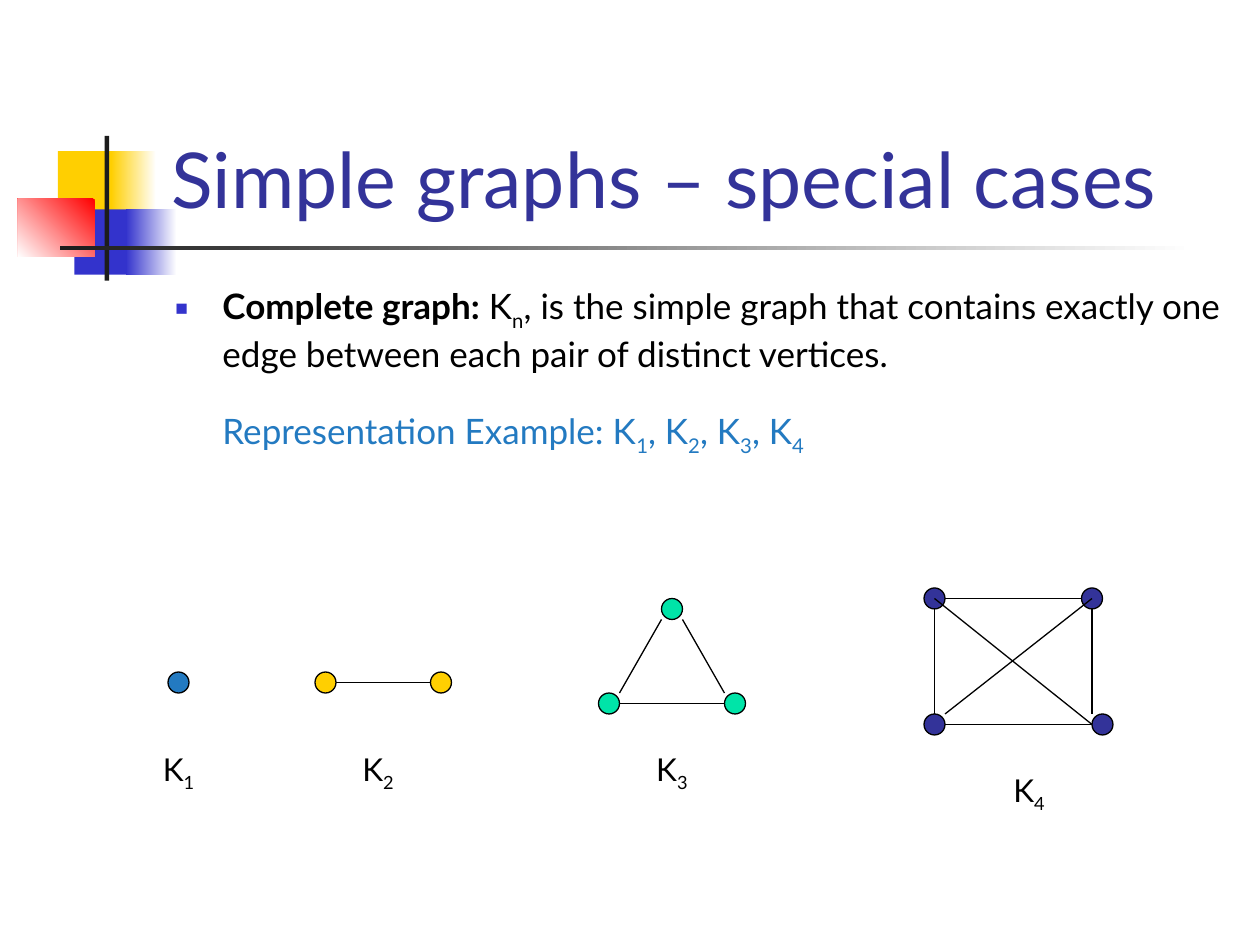
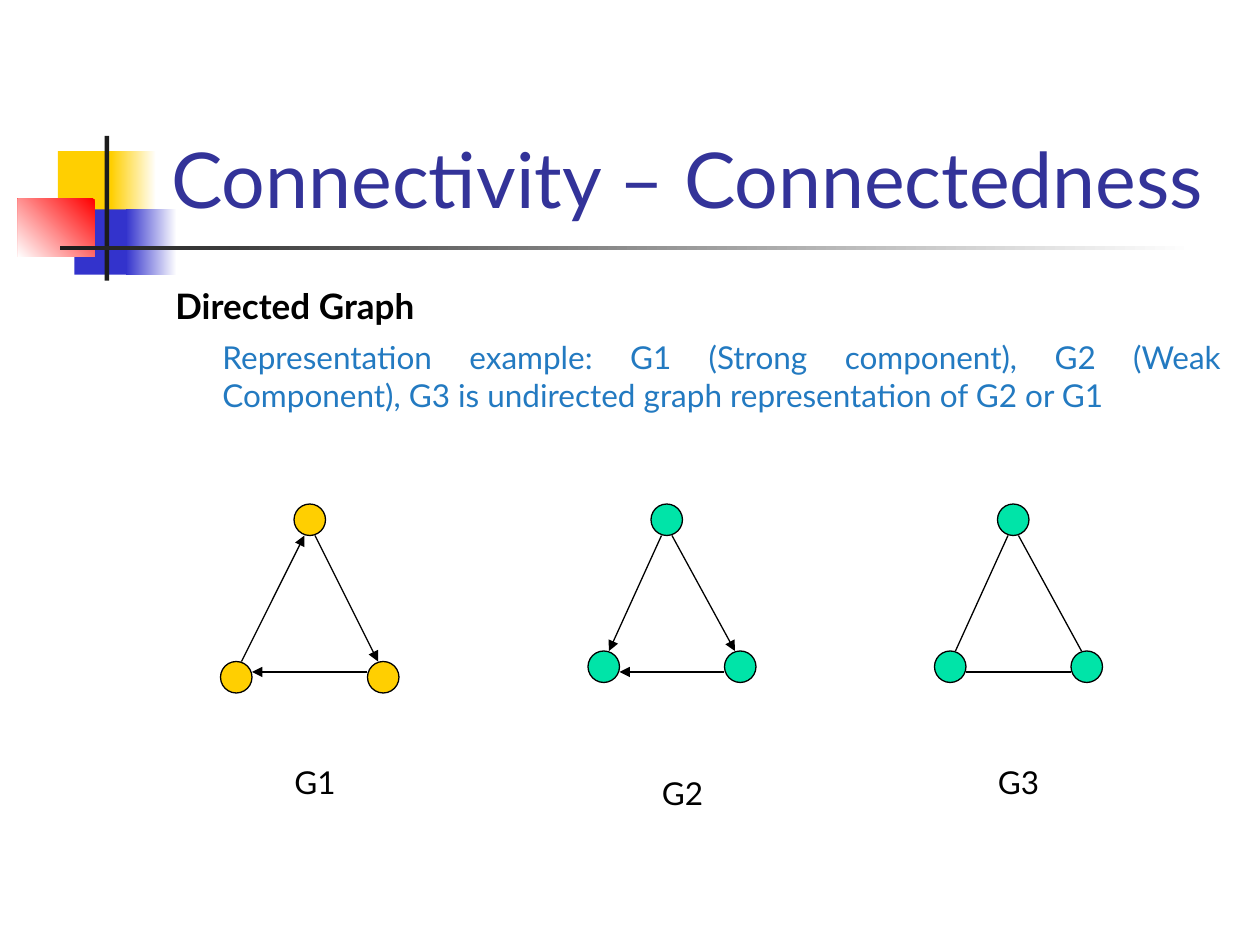
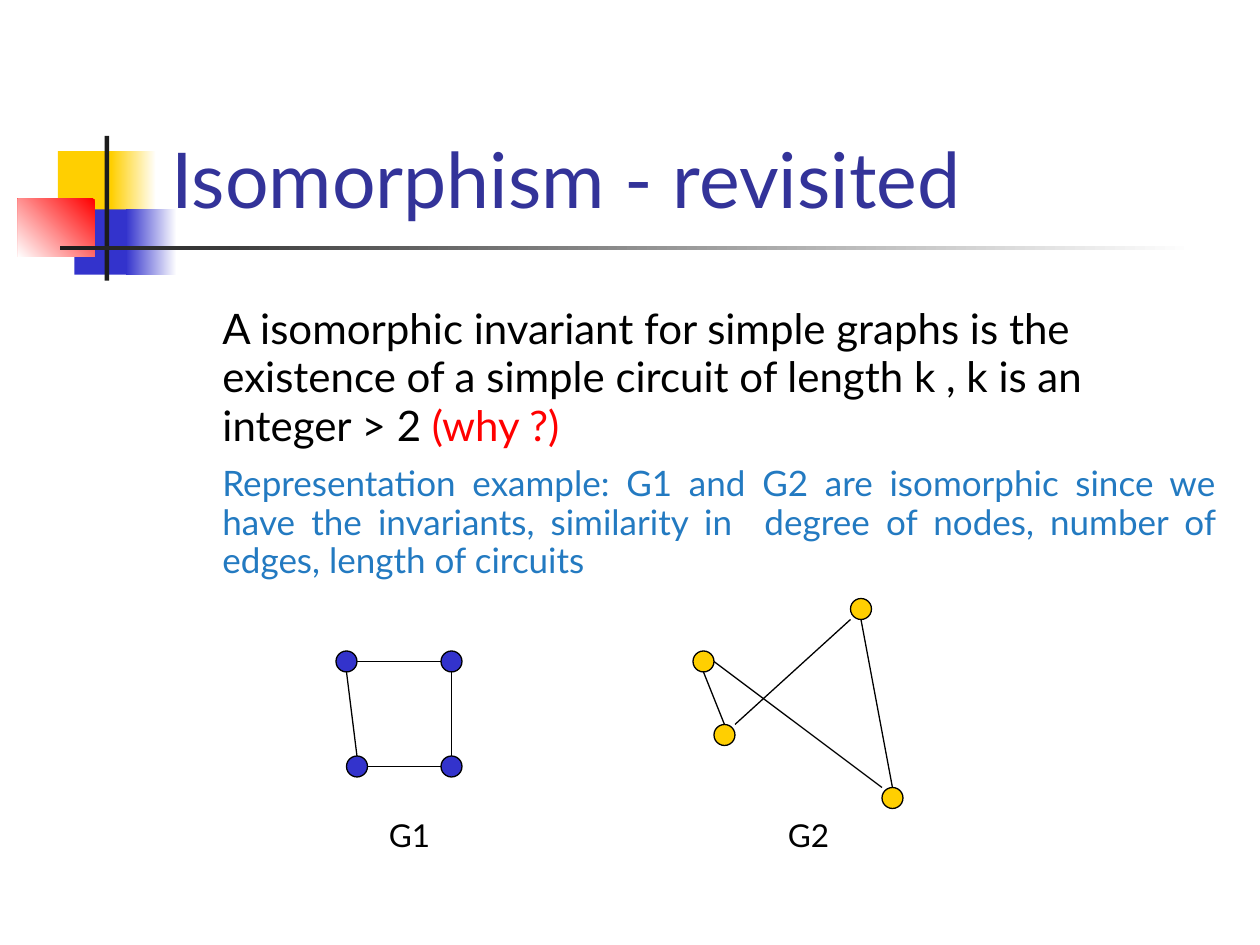
from lxml import etree
from pptx import Presentation
from pptx.dml.color import RGBColor
from pptx.enum.shapes import MSO_CONNECTOR, MSO_SHAPE
from pptx.enum.text import MSO_ANCHOR, MSO_AUTO_SIZE, PP_ALIGN
from pptx.oxml.ns import qn
from pptx.util import Cm, Pt

RECT, OVAL = MSO_SHAPE.RECTANGLE, MSO_SHAPE.OVAL
LINE = MSO_CONNECTOR.STRAIGHT
LEFT, MID, JUST = PP_ALIGN.LEFT, PP_ALIGN.CENTER, PP_ALIGN.JUSTIFY
TOP, CENTER, BOTTOM = MSO_ANCHOR.TOP, MSO_ANCHOR.MIDDLE, MSO_ANCHOR.BOTTOM
FIXED = MSO_AUTO_SIZE.NONE

FONT = "Lato"
BLACK, WHITE, INK, RED = "000000", "FFFFFF", "1C1C1C", "FF0000"
NAVY, ROYAL, BLUE = "333399", "3333CC", "237AC1"
GOLD, MINT = "FFCF01", "00E4A8"

# Shared band: left, top, width, height in cm, then colours and angle
BANDS = [
    (1.17, 3.05, 1.22, 1.32, [GOLD], 0),
    (2.24, 3.05, 0.91, 1.32, [WHITE, GOLD], 180),
    (1.5, 4.22, 1.17, 1.32, [ROYAL], 0),
    (2.54, 4.22, 1.02, 1.32, [WHITE, ROYAL], 180),
    (0.36, 4.01, 1.55, 1.17, [RED, WHITE], 225),
    (2.11, 2.74, 0.09, 2.92, [INK], 0),
    (1.22, 4.95, 22.86, 0.09, [WHITE, INK], 180),
]
TITLE = (3.2, 0.58, 21.64, 4.06)
HANG = 0.95  # text indent in cm

# Graphs use grid steps of 1/12 inch: nodes by top left, edges by both ends
TRIO = {
    "color": MINT,
    "nodes": [(62, 48), (56, 62), (69, 62)],
    "edges": [(63, 51, 58, 62), (64, 51, 70, 62), (69, 64, 59, 64)],
}

# Paragraph: runs of (text, format), then paragraph format; "_" lowers a letter
SLIDES = [
    {
        "title": "Simple graphs – special cases",
        "box": (3.28, 5.61, 21.59, 4.34),
        "body": [
            ([("Complete graph:", {"size": 20, "bold": True}),
              (" K_n, is the simple graph that contains exactly one edge "
               "between each pair of distinct vertices.", {"size": 20})],
             {"indent": HANG, "bullet": "■"}),
            ([("Representation Example: K_1, K_2, K_3, K_4",
               {"size": 20, "color": BLUE})],
             {"indent": HANG, "before": 20}),
        ],
        "node": 2,
        "graphs": [
            {"name": "K_1", "label": (15, 72), "color": BLUE,
             "nodes": [(16, 64)], "edges": []},
            {"name": "K_2", "label": (34, 72), "color": GOLD,
             "nodes": [(41, 64), (30, 64)], "edges": [(32, 65, 41, 65)]},
            {"name": "K_3", "label": (62, 72), "color": MINT,
             "nodes": [(69, 66), (57, 66), (63, 57)],
             "edges": [(65, 59, 69, 66), (59, 67, 69, 67), (59, 66, 63, 59)]},
            {"name": "K_4", "label": (96, 74), "color": NAVY,
             "nodes": [(104, 68), (88, 68), (103, 56), (88, 56)],
             "edges": [(90, 57, 103, 57), (90, 69, 104, 69), (89, 58, 89, 68),
                       (104, 58, 104, 68), (89, 57, 104, 69),
                       (90, 68, 104, 57)]},
        ],
    },
    {
        "title": "Connectivity – Connectedness",
        "box": (3.28, 5.61, 21.59, 3.28),
        "body": [
            ([("Directed Graph", {"size": 20, "bold": True})], {}),
            ([("Representation example: G1 (Strong component), G2 (Weak "
               "Component), G3 is undirected graph representation of G2 or G1",
               {"size": 18, "color": BLUE})],
             {"indent": HANG, "before": 6.5, "align": JUST}),
        ],
        "node": 3,
        "graphs": [
            {"name": "G1", "label": (28, 73), "color": GOLD, "arrow": True,
             "nodes": [(28, 48), (35, 63), (21, 63)],
             "edges": [(30, 51, 36, 63), (35, 64, 24, 64), (23, 63, 29, 51)]},
            {"name": "G2", "label": (63, 74), "arrow": True, **TRIO},
            {"name": "G3", "label": (95, 73), "shift": 33, **TRIO},
        ],
    },
    {
        "title": "Isomorphism - revisited",
        "box": (3.28, 6.02, 21.49, 6.47),
        "body": [
            ([("A isomorphic invariant for simple graphs is the existence of "
               "a simple circuit of length k , k is an integer > 2 ",
               {"size": 24}),
              ("(why ?)", {"size": 24, "color": RED})],
             {"indent": HANG, "spacing": 0.97}),
            ([("Representation example: G1 and G2 are isomorphic since we "
               "have the invariants, similarity in  degree of nodes, number "
               "of edges, length of circuits", {"size": 20, "color": BLUE})],
             {"indent": HANG, "before": 8, "spacing": 0.92, "align": JUST}),
        ],
        "node": 2,
        "graphs": [
            {"name": "G1", "label": (37, 78), "color": ROYAL,
             "nodes": [(42, 62), (42, 72), (32, 62), (33, 72)],
             "edges": [(34, 63, 42, 63), (43, 64, 43, 72), (42, 73, 35, 73),
                       (33, 64, 34, 72)]},
            {"name": "G2", "label": (75, 78), "color": GOLD,
             "nodes": [(66, 62), (68, 69), (84, 75), (81, 57)],
             "edges": [(68, 63, 84, 75), (70, 69, 81, 59), (67, 64, 69, 69),
                       (82, 59, 85, 75)]},
        ],
    },
]


def rgb(code):
    return RGBColor.from_string(code)


def grid(*steps):
    return [Cm(2.54 * n / 12) for n in steps]


def place(shape, box):
    shape.left, shape.top, shape.width, shape.height = map(Cm, box)


def write(par, text, size=18, color=BLACK, bold=False):
    """Add text to a paragraph, lowering each letter that follows "_"."""
    head, *rest = text.split("_")
    parts = [(head, False)]
    for part in rest:
        parts += [(part[0], True), (part[1:], False)]
    for piece, low in parts:
        if not piece:
            continue
        run = par.add_run()
        run.text = piece
        run.font.name, run.font.size, run.font.bold = FONT, Pt(size), bold
        run.font.color.rgb = rgb(color)
        if low:
            run._r.get_or_add_rPr().set("baseline", "-25000")


def layout_par(par, indent=0, bullet="", before=0, spacing=1.0, align=LEFT):
    props = par._p.get_or_add_pPr()
    props.set("marL", str(Cm(indent)))
    props.set("indent", str(-Cm(indent) if bullet else 0))
    if bullet:
        tint = etree.SubElement(props, qn("a:buClr"))
        etree.SubElement(tint, qn("a:srgbClr"), val=ROYAL)
        etree.SubElement(props, qn("a:buSzPct"), val="60000")
        etree.SubElement(props, qn("a:buChar"), char=bullet)
    else:
        etree.SubElement(props, qn("a:buNone"))
    par.space_before, par.line_spacing, par.alignment = Pt(before), spacing, align


def add_shape(slide, kind, box, fill, line=None):
    shape = slide.shapes.add_shape(kind, *box)
    shape.shadow.inherit = False
    shape.fill.solid()
    shape.fill.fore_color.rgb = rgb(fill)
    if line:
        shape.line.color.rgb = rgb(line)
        shape.line.width = Pt(0.75)
    else:
        shape.line.fill.background()
    return shape


def add_bands(slide, layout):
    """Build the band shapes and move them to the layout all slides share."""
    for i, (*box, colors, angle) in enumerate(BANDS):
        shape = add_shape(slide, RECT, map(Cm, box), colors[0])
        if len(colors) > 1:
            shape.fill.gradient()
            shape.fill.gradient_angle = angle
            for stop, color in zip(shape.fill.gradient_stops, colors):
                stop.color.rgb = rgb(color)
        shape.element.nvSpPr.cNvPr.set("id", str(20 + i))
        layout.shapes.element.insert(2 + i, shape.element)


def add_text(slide, data):
    title, body = slide.shapes.title, slide.placeholders[1]
    place(title, TITLE)
    place(body, data["box"])
    for holder, anchor in ((title, BOTTOM), (body, TOP)):
        frame = holder.text_frame
        frame.vertical_anchor = anchor
        frame.auto_size = FIXED
        frame.word_wrap = True
    par = title.text_frame.paragraphs[0]
    par.alignment = LEFT
    write(par, data["title"], size=44, color=NAVY)
    frame = body.text_frame
    for i, (runs, style) in enumerate(data["body"]):
        par = frame.add_paragraph() if i else frame.paragraphs[0]
        layout_par(par, **style)
        for text, look in runs:
            write(par, text, **look)


def add_edge(slide, ends, arrow):
    edge = slide.shapes.add_connector(LINE, *grid(*ends))
    edge.line.color.rgb = rgb(BLACK)
    edge.line.width = Pt(0.75)
    props = edge.element.spPr
    if arrow:
        etree.SubElement(props.find(qn("a:ln")), qn("a:tailEnd"),
                         type="triangle")
    etree.SubElement(props, qn("a:effectLst"))


def add_graph(slide, graph, size):
    shift = graph.get("shift", 0)
    for x, y in graph["nodes"]:
        add_shape(slide, OVAL, grid(x + shift, y, size, size),
                  graph["color"], BLACK)
    for x1, y1, x2, y2 in graph["edges"]:
        add_edge(slide, (x1 + shift, y1, x2 + shift, y2), graph.get("arrow"))
    label = add_shape(slide, RECT, grid(*graph["label"], 4, 3), WHITE, WHITE)
    frame = label.text_frame
    frame.word_wrap = False
    frame.vertical_anchor = CENTER
    frame.paragraphs[0].alignment = MID
    write(frame.paragraphs[0], graph["name"])


def main():
    deck = Presentation()
    deck.slide_width, deck.slide_height = Cm(25.4), Cm(19.05)
    layout = deck.slide_layouts[1]
    for i, data in enumerate(SLIDES):
        slide = deck.slides.add_slide(layout)
        if i == 0:
            add_bands(slide, layout)
        add_text(slide, data)
        for graph in data["graphs"]:
            add_graph(slide, graph, data["node"])
    deck.save("out.pptx")


if __name__ == "__main__":
    main()
